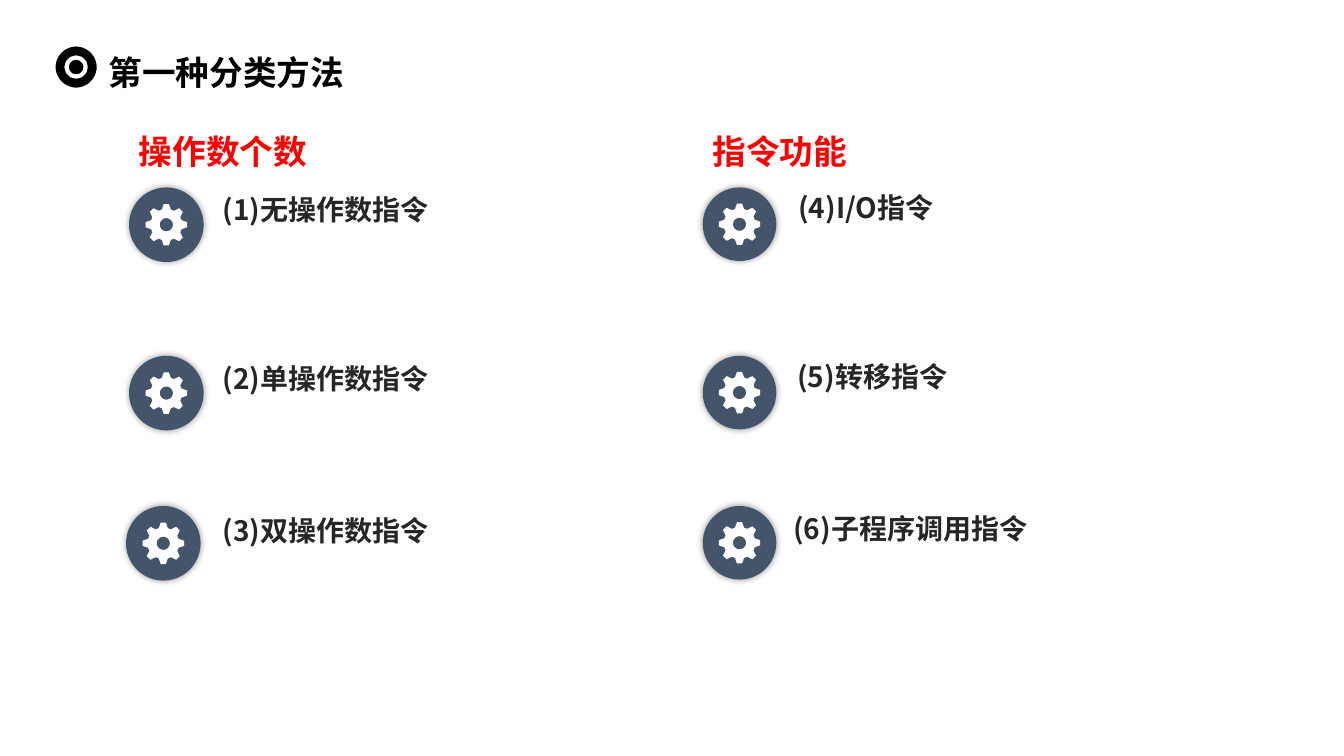
import math
from dataclasses import dataclass

import lxml.etree
import pptx
import pptx.dml.color
import pptx.enum.shapes
import pptx.enum.text
import pptx.oxml.ns
import pptx.util

qn = pptx.oxml.ns.qn


@dataclass(frozen=True)
class Theme:
    font: str = "Noto Sans CJK SC"
    black: str = "000000"
    white: str = "FFFFFF"
    slate: str = "44546A"
    ink: str = "262626"
    red: str = "FF0000"
    head: int = 24
    body: int = 20
    edge: int = 3
    blur: int = 5


def rgb(code):
    return pptx.dml.color.RGBColor.from_string(code)


def write(frame, text, *, font, size, color, bold=True, spacing=None):
    para = frame.paragraphs[0]
    if spacing:
        para.line_spacing = spacing
    run = para.add_run()
    run.text = text
    run.font.name = font
    run.font.size = pptx.util.Pt(size)
    run.font.bold = bold
    run.font.color.rgb = rgb(color)
    east = lxml.etree.SubElement(run.font._element, qn("a:ea"))
    east.set("typeface", font)


class Board:
    COLS, ROWS = 133.3, 75

    def __init__(self, deck, theme):
        self.theme = theme
        self.slide = deck.slides.add_slide(deck.slide_layouts[6])
        self.col = deck.slide_width / self.COLS
        self.row = deck.slide_height / self.ROWS

    def box(self, x, y, w, h):
        return (round(x * self.col), round(y * self.row),
                round(w * self.col), round(h * self.row))

    def paint(self, shape, fill, edge=None):
        shape.shadow.inherit = False
        shape.fill.solid()
        shape.fill.fore_color.rgb = rgb(fill)
        if edge:
            shape.line.color.rgb = rgb(edge)
            shape.line.width = pptx.util.Pt(self.theme.edge)
        else:
            shape.line.fill.background()

    def glow(self, shape):
        effects = shape._element.spPr.find(qn("a:effectLst"))
        outer = lxml.etree.SubElement(
            effects, qn("a:outerShdw"),
            blurRad=str(pptx.util.Pt(self.theme.blur)), dist="0", dir="0",
            algn="ctr", rotWithShape="0")
        color = lxml.etree.SubElement(
            outer, qn("a:srgbClr"), val=self.theme.black)
        lxml.etree.SubElement(color, qn("a:alpha"), val="40000")

    def disc(self, x, y, size, fill, edge=None):
        shape = self.slide.shapes.add_shape(
            pptx.enum.shapes.MSO_SHAPE.OVAL, *self.box(x, y, size, size))
        self.paint(shape, fill, edge)
        return shape

    def gear(self, x, y):
        def polar(angle, radius):
            turn = math.radians(angle)
            return (round((x + radius * math.sin(turn)) * self.col),
                    round((y - radius * math.cos(turn)) * self.row))

        tooth = ((-16.5, 1.57), (-7, 2.07), (7, 2.07), (16.5, 1.57))
        rim = [polar(45 * k + a, r) for k in range(8) for a, r in tooth]
        hole = [polar(-10 * k, 0.65) for k in range(36)]
        pen = self.slide.shapes.build_freeform(*rim[0])
        pen.add_line_segments(rim[1:], close=True)
        pen.move_to(*hole[0])
        pen.add_line_segments(hole[1:], close=True)
        self.paint(pen.convert_to_shape(), self.theme.white)

    def badge(self, x, y, size):
        self.glow(self.disc(x, y, size, self.theme.slate))
        self.gear(x + size / 2, y + size / 2)

    def label(self, text, x, y, w, h, grow=True, **style):
        frame = self.slide.shapes.add_textbox(*self.box(x, y, w, h)).text_frame
        frame.word_wrap = True
        if grow:
            frame.auto_size = pptx.enum.text.MSO_AUTO_SIZE.SHAPE_TO_FIT_TEXT
        else:
            frame.auto_size = pptx.enum.text.MSO_AUTO_SIZE.NONE
            frame.vertical_anchor = pptx.enum.text.MSO_ANCHOR.MIDDLE
        write(frame, text, font=self.theme.font, **style)


GROUPS = (
    ("操作数个数", 12.8, 7.4, (
        ("(1)无操作数指令", 12.8, 21.1, 18.6, 44.9),
        ("(2)单操作数指令", 12.8, 21.1, 35.4, 45.6),
        ("(3)双操作数指令", 12.5, 21.1, 50.5, 44.9))),
    ("指令功能", 69.7, 7.3, (
        ("(4)I/O指令", 69.7, 78.2, 18.4, 41.4),
        ("(5)转移指令", 69.7, 78.1, 35.2, 41.5),
        ("(6)子程序调用指令", 69.7, 77.7, 50.3, 41.6))),
)
LEVELS = (18.6, 35.3, 50.2)


def main():
    deck = pptx.Presentation()
    deck.slide_width = pptx.util.Inches(13.33)
    deck.slide_height = pptx.util.Inches(7.5)
    theme = Theme()
    board = Board(deck, theme)

    board.label("第一种分类方法", 9.8, 3.2, 120.7, 7, grow=False,
                size=theme.head, color=theme.black, spacing=1.2)
    for inset, size in ((0, 4.5), (1.3, 1.9)):
        board.disc(5.3 + inset, 4.4 + inset, size, theme.black, theme.white)

    for title, left, size, items in GROUPS:
        board.label(title, left, 11.3, 20.1, 6.2,
                    size=theme.head, color=theme.red, spacing=1.3)
        for level, (text, x, start, top, width) in zip(LEVELS, items):
            board.badge(x, level, size)
            board.label(text, start, top, width, 4.4,
                        size=theme.body, color=theme.ink)

    deck.save("out.pptx")


if __name__ == "__main__":
    main()
